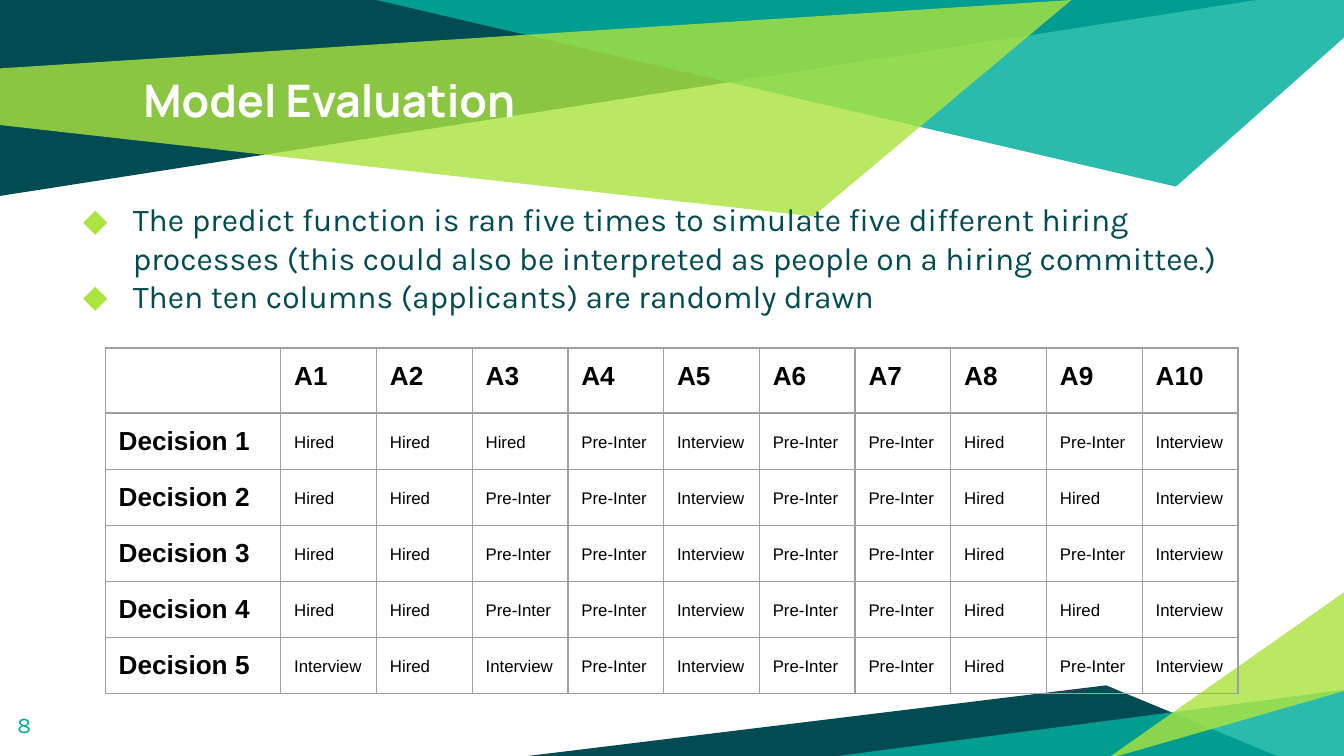
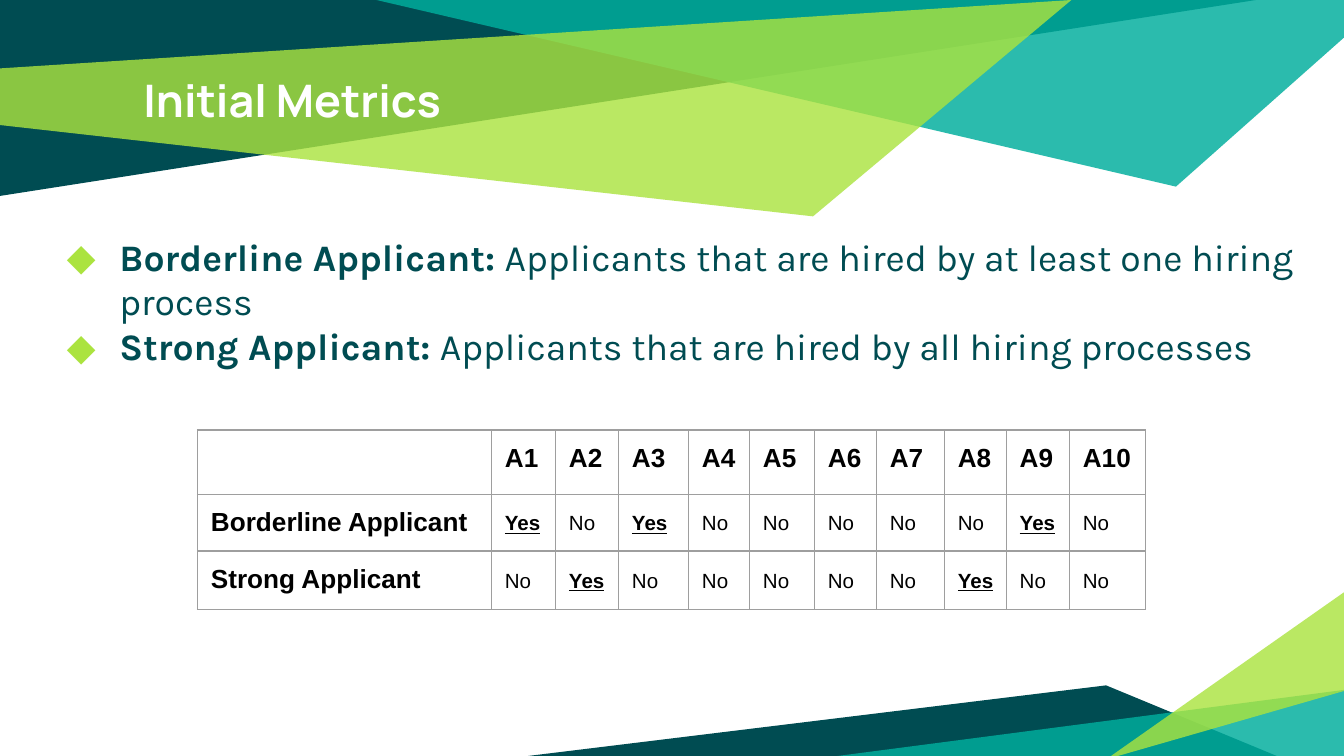
"""Build two slides on model evaluation and applicant metrics."""
from dataclasses import dataclass

from lxml import etree
from pptx import Presentation
from pptx.dml.color import RGBColor
from pptx.enum.text import MSO_ANCHOR
from pptx.oxml.ns import qn
from pptx.util import Pt

TOP, MIDDLE = MSO_ANCHOR.TOP, MSO_ANCHOR.MIDDLE
INSET = 7.2
TIGHT_INSET = 6


@dataclass(frozen=True)
class Theme:
    dark: str = "004C52"
    teal: str = "00AE9D"
    lime: str = "ABE33F"
    white: str = "FFFFFF"
    black: str = "000000"
    border: str = "9E9E9E"
    title_font: str = "Manrope"
    body_font: str = "Karla"
    bullet_font: str = "Manrope"
    table_font: str = "Arial"
    title_size: int = 24
    label_size: int = 14
    number_size: int = 12


THEME = Theme()

BANDS = [
    (THEME.dark, 100, [(0, 0), (0, 105), (673, 0)]),
    (THEME.teal, 83, [(201.6, 0), (630, 100), (720, 20.2), (720, 0)]),
    (THEME.lime, 81, [(-0.7, 36.7), (0, 67), (435.6, 115.9), (574, 0)]),
    (THEME.dark, 100, [(283, 405), (684, 405), (592.6, 367.2)]),
    (THEME.teal, 83, [(721.4, 369.4), (721.4, 406.8), (434.9, 406.8)]),
    (THEME.lime, 81, [(720.7, 370), (720.7, 316.8), (592.6, 406.8)]),
]


class Deck:
    def __init__(self, theme):
        self.theme = theme
        self.presentation = Presentation()
        self.presentation.slide_width = Pt(720)
        self.presentation.slide_height = Pt(405)
        self.slide = None

    def new_slide(self, title):
        layout = self.presentation.slide_layouts[6]
        self.slide = self.presentation.slides.add_slide(layout)
        for color, opacity, corners in BANDS:
            self.band(color, opacity, corners)
        t = self.theme
        heading = self.text_frame(69.8, 31.7, 580.3, 67.7)
        self.run(heading.paragraphs[0], title, t.title_font, t.title_size, t.white, bold=True)

    def band(self, color, opacity, corners):
        start, *rest = [(Pt(x), Pt(y)) for x, y in corners]
        outline = self.slide.shapes.build_freeform(*start)
        outline.add_line_segments(rest, close=True)
        band = outline.convert_to_shape()
        band.shadow.inherit = False
        band.fill.solid()
        band.fill.fore_color.rgb = RGBColor.from_string(color)
        band.line.fill.background()
        if opacity < 100:
            tint = band.fill._xPr.find(".//" + qn("a:srgbClr"))
            etree.SubElement(tint, qn("a:alpha"), val=str(opacity * 1000))

    def text_frame(self, left, top, width, height):
        box = self.slide.shapes.add_textbox(Pt(left), Pt(top), Pt(width), Pt(height))
        frame = box.text_frame
        frame.word_wrap = True
        frame.vertical_anchor = TOP
        frame.margin_left = frame.margin_right = Pt(INSET)
        frame.margin_top = frame.margin_bottom = Pt(INSET)
        return frame

    def run(self, paragraph, text, font, size, color, bold=False, underline=False):
        run = paragraph.add_run()
        run.text = text
        run.font.name = font
        run.font.size = Pt(size)
        run.font.bold = bold
        run.font.underline = underline
        run.font.color.rgb = RGBColor.from_string(color)

    def bullets(self, bounds, size, hanging, items):
        t = self.theme
        frame = self.text_frame(*bounds)
        for index, parts in enumerate(items):
            paragraph = frame.add_paragraph() if index else frame.paragraphs[0]
            paragraph.space_before = Pt(0 if index else 6)
            properties = paragraph._p.get_or_add_pPr()
            properties.set("marL", str(Pt(36)))
            properties.set("indent", str(-Pt(hanging)))
            tint = etree.SubElement(properties, qn("a:buClr"))
            etree.SubElement(tint, qn("a:srgbClr"), val=t.lime)
            etree.SubElement(properties, qn("a:buFont"), typeface=t.bullet_font)
            etree.SubElement(properties, qn("a:buChar"), char="◆")
            for text, bold in parts:
                self.run(paragraph, text, t.body_font, size, t.dark, bold)

    def page_number(self, number):
        t = self.theme
        frame = self.text_frame(2.2, 373.7, 43.2, 31)
        self.run(frame.paragraphs[0], number, t.body_font, t.number_size, t.teal)

    def table(self, left, top, widths, heights, rows, value_size, emphasis=None):
        t = self.theme
        frame = self.slide.shapes.add_table(
            len(rows), len(widths), Pt(left), Pt(top), Pt(sum(widths)), Pt(sum(heights)))
        table = frame.table
        table.first_row = table.horz_banding = False
        for column, width in zip(table.columns, widths):
            column.width = Pt(width)
        for row, height in zip(table.rows, heights):
            row.height = Pt(height)
        for r, values in enumerate(rows):
            for c, text in enumerate(values):
                label = r == 0 or c == 0
                marked = text == emphasis
                cell = table.cell(r, c)
                cell.margin_left = Pt(INSET)
                cell.margin_right = Pt(TIGHT_INSET)
                cell.margin_top = Pt(INSET if text else 0)
                cell.margin_bottom = Pt(TIGHT_INSET if text else 0)
                cell.vertical_anchor = TOP if label else MIDDLE
                self.cell_border(cell)
                cell.fill.background()
                if text:
                    self.run(cell.text_frame.paragraphs[0], text, t.table_font,
                             t.label_size if label else value_size, t.black,
                             label or marked, marked)

    def cell_border(self, cell):
        properties = cell._tc.get_or_add_tcPr()
        for side in ("lnL", "lnR", "lnT", "lnB"):
            line = etree.SubElement(properties, qn("a:" + side), w=str(Pt(0.75)))
            fill = etree.SubElement(line, qn("a:solidFill"))
            etree.SubElement(fill, qn("a:srgbClr"), val=self.theme.border)


APPLICANTS = [""] + [f"A{n}" for n in range(1, 11)]
OUTCOMES = {"H": "Hired", "P": "Pre-Inter", "I": "Interview", "Y": "Yes", "N": "No"}


def outcome_row(label, codes):
    return [label] + [OUTCOMES[code] for code in codes]


deck = Deck(THEME)

deck.new_slide("Model Evaluation")
deck.bullets((28.1, 100.1, 663.8, 119.5), 17, 26.6, [
    [("The predict function is ran five times to simulate five different hiring processes "
      "(this could also be interpreted as people on a hiring committee.)", False)],
    [("Then ten columns (applicants) are randomly drawn", False)],
])
deck.page_number("8")
decisions = ["HHHPIPPHPI", "HHPPIPPHHI", "HHPPIPPHPI", "HHPPIPPHHI", "IHIPIPPHPI"]
deck.table(56.4, 186.5, [94] + [51.3] * 10, [34.8] + [30.1] * 5,
           [APPLICANTS] + [outcome_row(f"Decision {n}", codes)
                           for n, codes in enumerate(decisions, 1)], 9)

deck.new_slide("Initial Metrics")
deck.bullets((20.9, 118.1, 689, 103.7), 20, 28.1, [
    [("Borderline Applicant:", True),
     (" Applicants that are hired by at least one hiring process", False)],
    [("Strong Applicant:", True),
     (" Applicants that are hired by all hiring processes", False)],
])
deck.table(105.8, 230.4,
           [157.5, 34.3, 33.8, 37.5, 32.7, 34.8, 33.2, 36.4, 33.2, 33.8, 40.7],
           [34.4, 30.4, 31.4],
           [APPLICANTS,
            outcome_row("Borderline Applicant", "YNYNNNNNYN"),
            outcome_row("Strong Applicant", "NYNNNNNYNN")], 11, emphasis="Yes")

deck.presentation.save("out.pptx")
